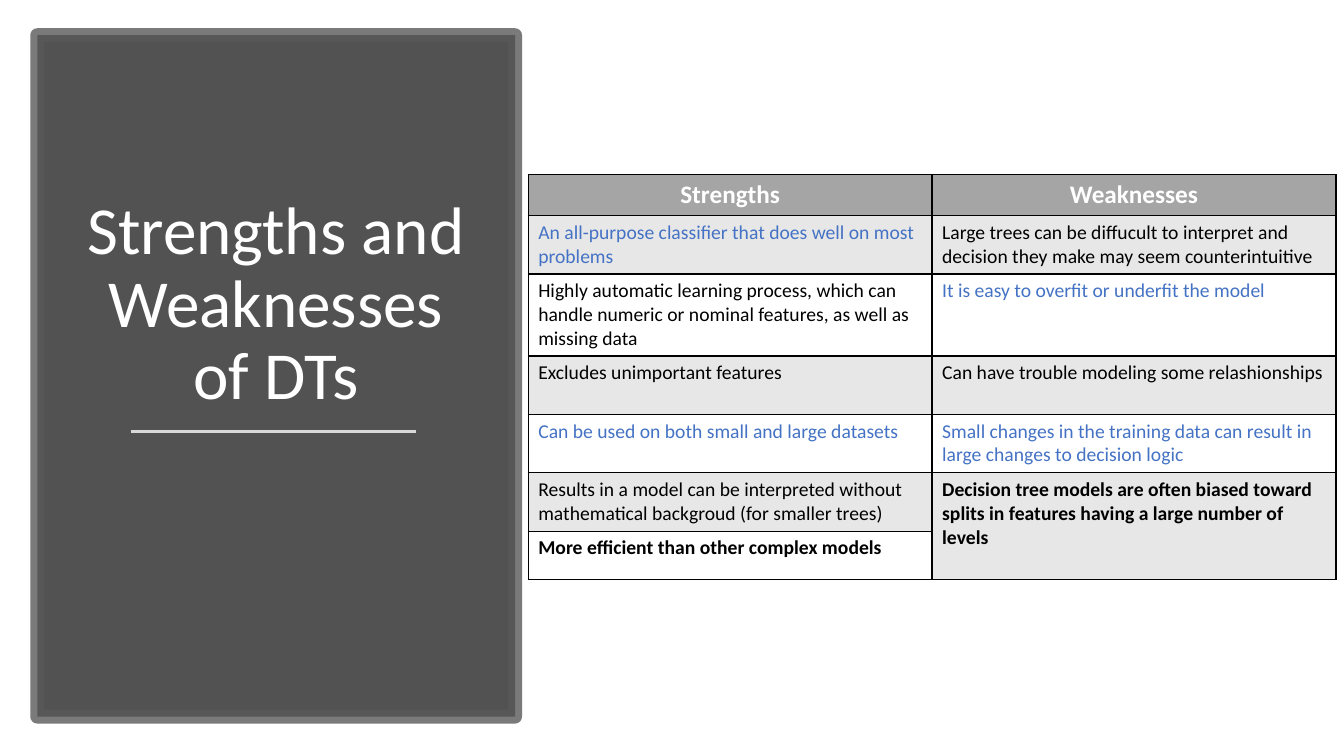
"""Build a slide with a title panel and a table of strengths and weaknesses."""
from dataclasses import dataclass

from lxml import etree
from pptx import Presentation
from pptx import util as u
from pptx.dml.color import RGBColor
from pptx.enum import shapes, text
from pptx.oxml import ns

HUES = {
    "panel": "404040", "frame": "595959", "rule": "D9D9D9", "head": "A5A5A5",
    "band": "E7E7E7", "white": "FFFFFF", "black": "000000", "blue": "4472C4",
}
FONT = "Calibri"


@dataclass
class Cell:
    words: str
    hue: str = "black"
    bold: bool = False
    size: float = 14
    align: text.PP_ALIGN = text.PP_ALIGN.LEFT


@dataclass
class Row:
    height: float
    fill: str
    cells: list[Cell]


def head(words: str) -> Cell:
    return Cell(words, "white", True, 18, text.PP_ALIGN.CENTER)


ROWS = [
    Row(29.5, "head", [head("Strengths"), head("Weaknesses")]),
    Row(41.75, "band", [
        Cell("An all-purpose classifier that does well on most problems", "blue"),
        Cell("Large trees can be diffucult to interpret and decision they make "
             "may seem counterintuitive")]),
    Row(58.5, "white", [
        Cell("Highly automatic learning process, which can handle numeric or "
             "nominal features, as well as missing data"),
        Cell("It is easy to overfit or underfit the model", "blue")]),
    Row(41.75, "band", [
        Cell("Excludes unimportant features"),
        Cell("Can have trouble modeling some relashionships")]),
    Row(41.75, "white", [
        Cell("Can be used on both small and large datasets", "blue"),
        Cell("Small changes in the training data can result in large changes "
             "to decision logic", "blue")]),
    Row(41.75, "band", [
        Cell("Results in a model can be interpreted without mathematical "
             "backgroud (for smaller trees)"),
        Cell("Decision tree models are often biased toward splits in features "
             "having a large number of levels", bold=True)]),
    Row(34.25, "white", [Cell("More efficient than other complex models", bold=True)]),
]


def tint(name: str) -> RGBColor:
    return RGBColor.from_string(HUES[name])


def fade(fill, name: str, share: int) -> None:
    fill.solid()
    fill.fore_color.rgb = tint(name)
    node = fill._xPr.find(ns.qn("a:solidFill"))[0]
    etree.SubElement(node, ns.qn("a:alpha"), val=str(share * 1000))


def write(frame, item: Cell):
    para = frame.paragraphs[0]
    para.alignment = item.align
    run = para.add_run()
    run.text = item.words
    run.font.name = FONT
    run.font.size = u.Pt(item.size)
    run.font.bold = item.bold
    run.font.color.rgb = tint(item.hue)
    return para


def edge(cell) -> None:
    props = cell._tc.get_or_add_tcPr()
    for side in ("lnL", "lnR", "lnT", "lnB"):
        line = etree.SubElement(props, ns.qn(f"a:{side}"), w=str(u.Pt(1)))
        fill = etree.SubElement(line, ns.qn("a:solidFill"))
        etree.SubElement(fill, ns.qn("a:srgbClr"), val=HUES["black"])


def draw_panel(slide) -> None:
    panel = slide.shapes.add_shape(
        shapes.MSO_SHAPE.RECTANGLE, u.Pt(26.64), u.Pt(25.2), u.Pt(341.28), u.Pt(486.72))
    panel.shadow.inherit = False
    fade(panel.fill, "panel", 90)
    panel.line.width = u.Pt(10)
    fade(panel.line.fill, "frame", 80)


def draw_title(slide) -> None:
    box = slide.shapes.add_textbox(u.Pt(53.28), u.Pt(72), u.Pt(288), u.Pt(227.5))
    frame = box.text_frame
    frame.word_wrap = True
    frame.vertical_anchor = text.MSO_ANCHOR.BOTTOM
    item = Cell("Strengths and Weaknesses of DTs", "white", size=48,
                align=text.PP_ALIGN.CENTER)
    write(frame, item).line_spacing = 0.9
    rule = slide.shapes.add_connector(
        shapes.MSO_CONNECTOR.STRAIGHT, u.Pt(93.6), u.Pt(308.16), u.Pt(297.36), u.Pt(308.16))
    rule.line.color.rgb = tint("rule")
    rule.line.width = u.Pt(1.75)
    etree.SubElement(rule._element.spPr, ns.qn("a:effectLst"))


def draw_table(slide, rows: list[Row]) -> None:
    high = sum(row.height for row in rows)
    table = slide.shapes.add_table(
        len(rows), 2, u.Pt(377.28), u.Pt(124.56), u.Pt(577), u.Pt(high)).table
    table.first_row = table.horz_banding = False
    for y, row in enumerate(rows):
        table.rows[y].height = u.Pt(row.height)
        for x in range(2):
            cell = table.cell(y, x)
            edge(cell)
            cell.fill.solid()
            cell.fill.fore_color.rgb = tint(row.fill)
            if x < len(row.cells):
                write(cell.text_frame, row.cells[x])
    last = len(rows) - 1
    table.cell(last - 1, 1).merge(table.cell(last, 1))


def main() -> None:
    deck = Presentation()
    deck.slide_width, deck.slide_height = u.Pt(960), u.Pt(540)
    slide = deck.slides.add_slide(deck.slide_layouts[6])
    draw_panel(slide)
    draw_title(slide)
    draw_table(slide, ROWS)
    deck.save("out.pptx")


if __name__ == "__main__":
    main()
